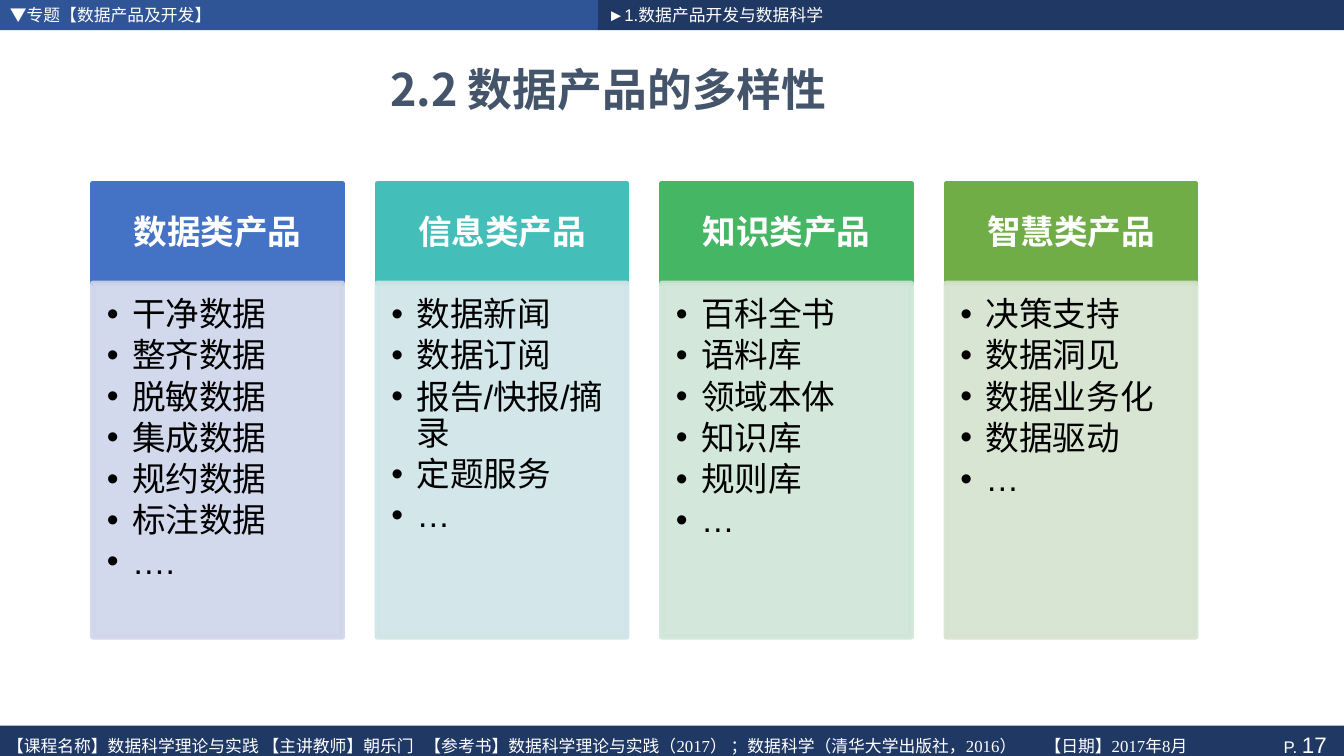
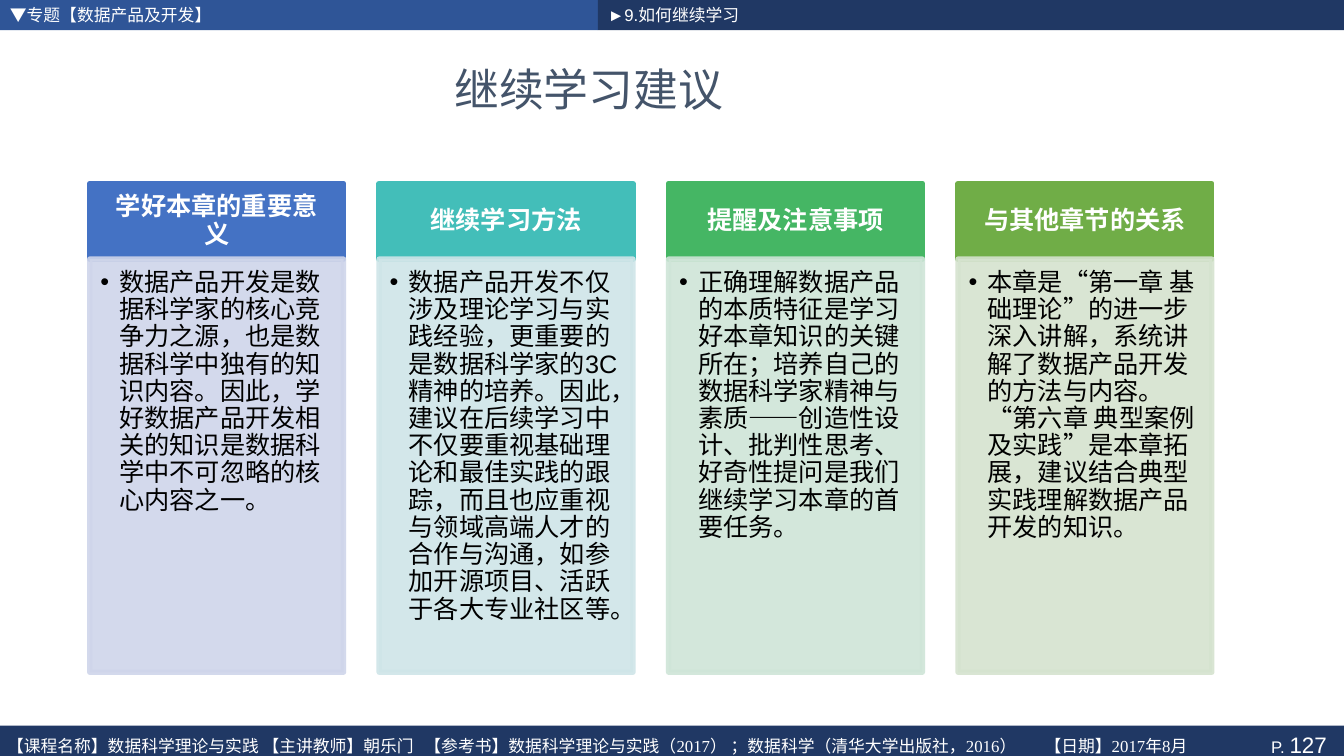
import lxml.etree
import pptx
import pptx.dml.color
import pptx.enum.shapes
import pptx.enum.text
import pptx.oxml.ns
import pptx.util

Inches = pptx.util.Inches
Pt = pptx.util.Pt
qn = pptx.oxml.ns.qn
ALIGN = pptx.enum.text.PP_ALIGN
ANCHOR = pptx.enum.text.MSO_ANCHOR

WIDE, HIGH, BAND, SPLIT = 13.33, 7.5, 0.3, 5.93
SANS, SERIF, HEAD = "Arial", "Times New Roman", "Noto Sans CJK SC"
COLORS = {"topic": "2F5597", "band": "203864", "title": "44546A",
          "white": "FFFFFF", "black": "000000"}
# Heading and body colour of each column
TINTS = [("4472C4", "CFD5EA"), ("43BEB9", "CFE5E8"),
         ("45B664", "CFE5D8"), ("70AD47", "D5E3CF")]

TOPIC = "▼专题【数据产品及开发】"
COURSE = ["【课程名称】数据科学理论与实践 【主讲教师】朝乐门",
          "【参考书】数据科学理论与实践（2017） ；数据科学（清华大学出版社，2016）",
          "【日期】2017年8月"]
COURSE_TABS = [4.14, 10.29]

KINDS = [
    ("数据类产品", ["干净数据", "整齐数据", "脱敏数据", "集成数据",
               "规约数据", "标注数据", "…."]),
    ("信息类产品", ["数据新闻", "数据订阅", "报告/快报/摘录", "定题服务", "…"]),
    ("知识类产品", ["百科全书", "语料库", "领域本体", "知识库", "规则库", "…"]),
    ("智慧类产品", ["决策支持", "数据洞见", "数据业务化", "数据驱动", "…"]),
]
ADVICE = [
    ("学好本章的重要意义",
     ["数据产品开发是数据科学家的核心竞争力之源，也是数据科学中独有的知识内容。"
      "因此，学好数据产品开发相关的知识是数据科学中不可忽略的核心内容之一。"]),
    ("继续学习方法",
     ["数据产品开发不仅涉及理论学习与实践经验，更重要的是数据科学家的3C精神的培养。"
      "因此，建议在后续学习中不仅要重视基础理论和最佳实践的跟踪，"
      "而且也应重视与领域高端人才的合作与沟通，如参加开源项目、活跃于各大专业社区等。"]),
    ("提醒及注意事项",
     ["正确理解数据产品的本质特征是学习好本章知识的关键所在；"
      "培养自己的数据科学家精神与素质——创造性设计、批判性思考、"
      "好奇性提问是我们继续学习本章的首要任务。"]),
    ("与其他章节的关系",
     ["本章是“第一章 基础理论”的进一步深入讲解，系统讲解了数据产品开发的方法与内容。"
      "“第六章 典型案例及实践”是本章拓展，建议结合典型实践理解数据产品开发的知识。"]),
]


def rgb(color):
    return pptx.dml.color.RGBColor.from_string(color)


def add_run(para, text, size, color, font=SANS, bold=False):
    run = para.add_run()
    run.text = text
    run.font.size = Pt(size)
    run.font.name = font
    run.font.bold = bold
    run.font.color.rgb = rgb(color)


def set_frame(shape, insets, anchor=ANCHOR.TOP, wrap=True):
    """Set insets (left, top, right, bottom) and return the first paragraph."""
    frame = shape.text_frame
    frame.word_wrap = wrap
    frame.vertical_anchor = anchor
    (frame.margin_left, frame.margin_top,
     frame.margin_right, frame.margin_bottom) = map(Inches, insets)
    return frame.paragraphs[0]


def add_rect(slide, box, color, edge=0, opaque=100):
    shape = slide.shapes.add_shape(
        pptx.enum.shapes.MSO_SHAPE.RECTANGLE, *map(Inches, box))
    shape.shadow.inherit = False
    shape.fill.solid()
    shape.fill.fore_color.rgb = rgb(color)
    if edge:
        shape.line.width = Pt(edge)
        shape.line.color.rgb = rgb(color)
    else:
        shape.line.fill.background()
    if opaque < 100:
        for tint in list(shape.element.spPr.iter(qn("a:srgbClr"))):
            alpha = lxml.etree.SubElement(tint, qn("a:alpha"))
            alpha.set("val", str(opaque * 1000))
    return shape


def add_label(slide, box, text, font=SANS, tabs=()):
    label = slide.shapes.add_textbox(*map(Inches, box))
    para = set_frame(label, (0.07 if tabs else 0.1, 0.05, 0.1, 0), wrap=False)
    if tabs:
        stops = lxml.etree.SubElement(para._p.get_or_add_pPr(), qn("a:tabLst"))
        for place in tabs:
            stop = lxml.etree.SubElement(stops, qn("a:tab"))
            stop.set("pos", str(Inches(place)))
            stop.set("algn", "l")
    add_run(para, text, 12, COLORS["white"], font)


def add_bands(slide, section, page):
    add_rect(slide, (0, 0, SPLIT, BAND), COLORS["topic"])
    add_rect(slide, (SPLIT, 0, WIDE - SPLIT, BAND), COLORS["band"])
    foot = add_rect(slide, (0, HIGH - BAND, WIDE, BAND), COLORS["band"])
    para = set_frame(foot, (0.1, 0.05, 0.17, 0))
    para.alignment = ALIGN.RIGHT
    add_run(para, "P. ", 12, COLORS["white"])
    add_run(para, page, 16, COLORS["white"])
    add_label(slide, (0, 0, 4.83, BAND), TOPIC)
    add_label(slide, (SPLIT, 0, 2.38, BAND), section)
    add_label(slide, (0, 7.25, 12.73, 0.25), "\t".join(COURSE), SERIF, COURSE_TABS)


def add_title(slide, text, width, bold):
    title = slide.shapes.add_textbox(*map(Inches, (0.44, 0.43, width, 0.9)))
    para = set_frame(title, (0.1, 0.05, 0.1, 0.05), ANCHOR.MIDDLE)
    para.alignment = ALIGN.CENTER
    add_run(para, text, 32, COLORS["title"], HEAD, bold)


def add_bullet(para, text, size, indent):
    props = para._p.get_or_add_pPr()
    props.set("marL", str(Inches(indent)))
    props.set("indent", str(-Inches(indent)))
    lxml.etree.SubElement(props, qn("a:buFont")).set("typeface", SANS)
    lxml.etree.SubElement(props, qn("a:buChar")).set("char", "•")
    para.alignment = ALIGN.LEFT
    para.line_spacing = 0.9
    para.space_after = Pt(size * 0.15)
    add_run(para, text, size, COLORS["black"])


def add_column(slide, box, head, size, tints, name, items):
    """Place a heading of height head over a bulleted panel."""
    left, top, width, height = box
    scale = size / 24
    bar = add_rect(slide, (left, top, width, head), tints[0], 3.78)
    para = set_frame(bar, [scale * gap for gap in (0.19, 0.11, 0.19, 0.11)],
                     ANCHOR.MIDDLE)
    para.alignment = ALIGN.CENTER
    para.line_spacing = 0.9
    add_run(para, name, size, COLORS["white"], bold=True)

    panel = add_rect(slide, (left, top + head, width, height - head),
                     tints[1], 3.78, 90)
    para = set_frame(panel, [scale * gap for gap in (0.14, 0.14, 0.19, 0.21)])
    for index, item in enumerate(items):
        if index:
            para = panel.text_frame.add_paragraph()
        add_bullet(para, item, size, 0.25 * scale)


def add_columns(slide, box, head, size, columns):
    """Share the box among columns, with gaps of 14% of a column."""
    left, top, total, height = box
    count = len(columns)
    width = total / (count + 0.14 * (count - 1))
    for index, (tints, column) in enumerate(zip(TINTS, columns)):
        place = (left + index * width * 1.14, top, width, height)
        add_column(slide, place, head, size, tints, *column)


def add_page(deck, section, page, title, width, bold, box, head, size, columns):
    slide = deck.slides.add_slide(deck.slide_layouts[6])
    add_bands(slide, section, page)
    add_title(slide, title, width, bold)
    add_columns(slide, box, head, size, columns)


def main():
    deck = pptx.Presentation()
    deck.slide_width = Inches(WIDE)
    deck.slide_height = Inches(HIGH)
    add_page(deck, "►1.数据产品开发与数据科学", "17", "2.2 数据产品的多样性", 11.19, True,
             (0.92, 1.82, 10.94, 4.5), 0.99, 24, KINDS)
    add_page(deck, "►9.如何继续学习", "127", "继续学习建议", 10.8, False,
             (0.89, 1.82, 11.13, 4.85), 0.75, 18, ADVICE)
    deck.save("out.pptx")


if __name__ == "__main__":
    main()
